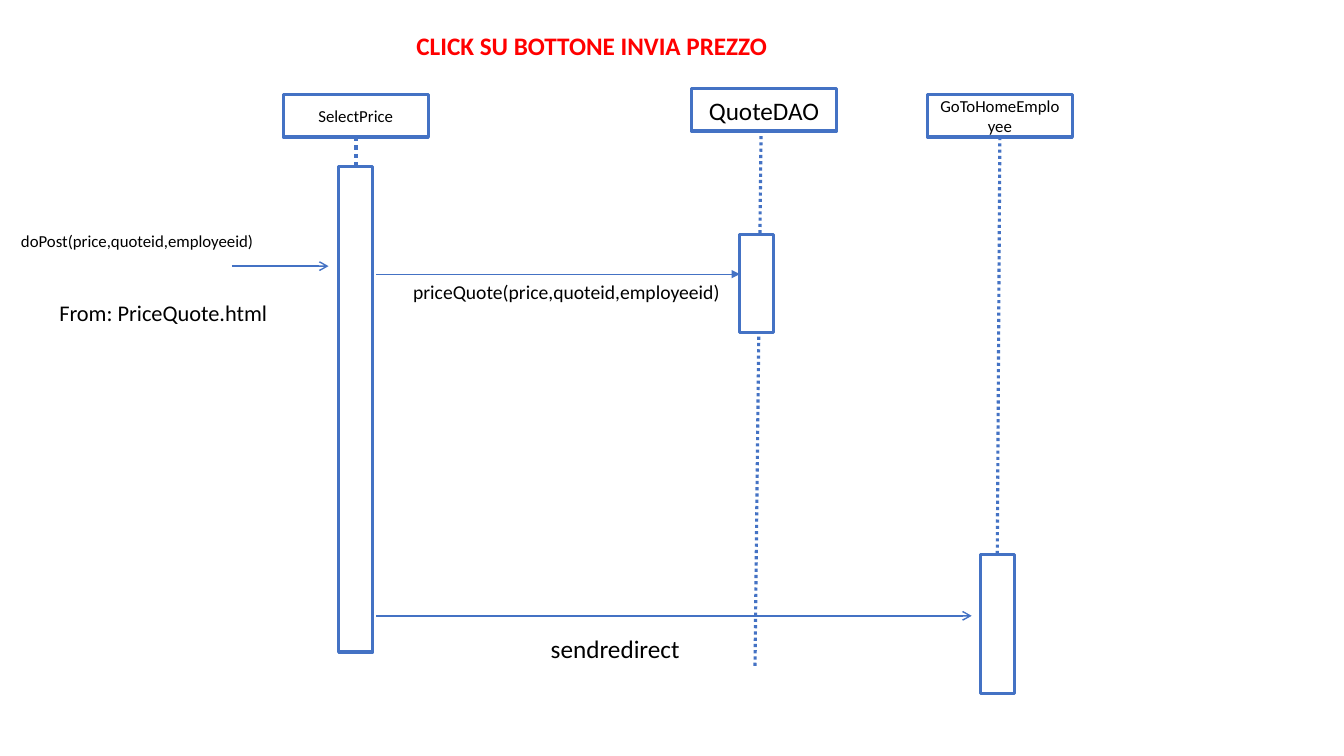
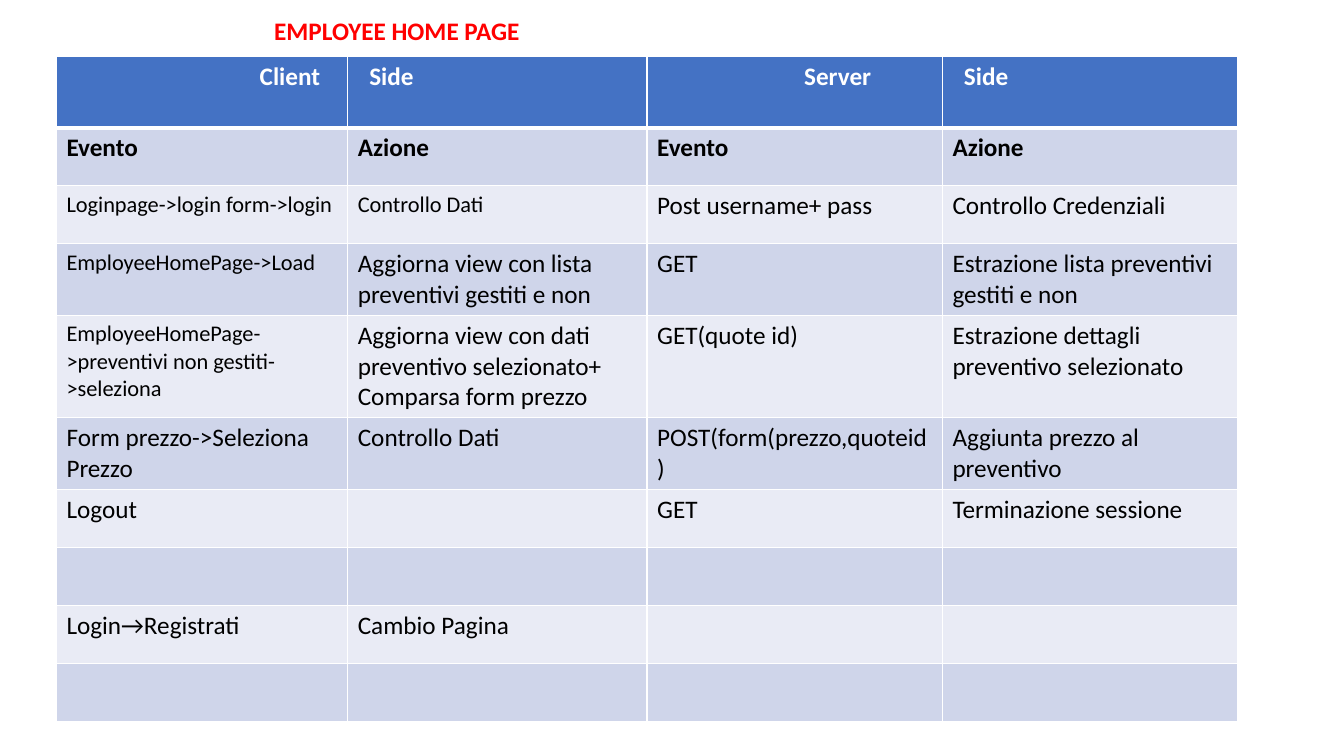
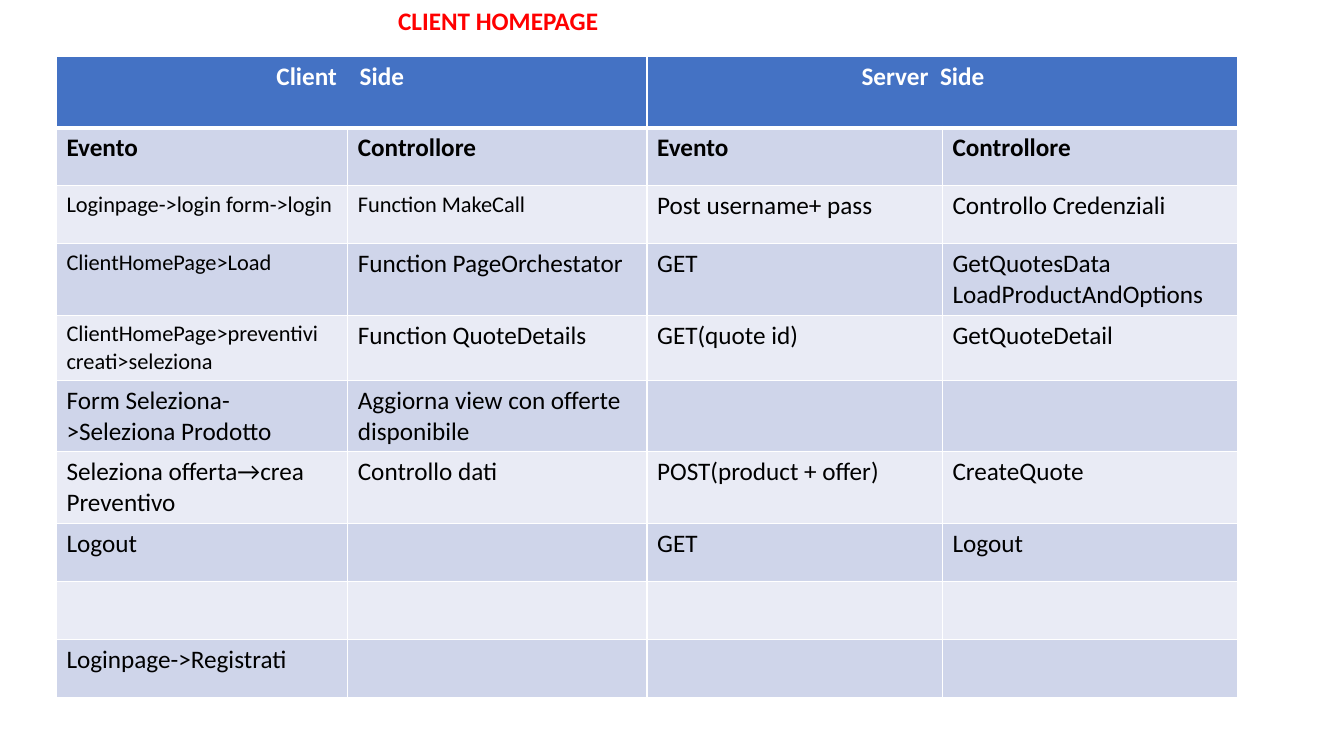
"""Build a price sequence diagram and two event tables."""
import dataclasses
import typing

import lxml.etree
import pptx
import pptx.dml.color
import pptx.enum.dml
import pptx.enum.shapes
import pptx.enum.text
import pptx.oxml.ns
import pptx.slide
import pptx.util

Pt = pptx.util.Pt
ALIGN = pptx.enum.text.PP_ALIGN
ANCHOR = pptx.enum.text.MSO_ANCHOR
FONT = "Calibri"
BLUE, WHITE, BLACK, RED = "4472C4", "FFFFFF", "000000", "FF0000"
BANDS = ("CFD5EA", "E9EBF5")
TITLE_ONLY = 5
TABLE_LEFT = TABLE_TOP = 40.3
COLUMN_WIDTHS = (208.1, 213.8, 211, 211)
HEADER_HEIGHT, ROW_HEIGHT = 51, 41.4
CELL_MARGIN = 7.2
SMALL_CELLS = {(2, 0), (2, 1), (3, 0), (4, 0)}


@dataclasses.dataclass(frozen=True)
class Box:
    left: float
    top: float
    width: float
    height: float
    text: str = ""
    size: float = 12
    align: ALIGN = ALIGN.LEFT


@dataclasses.dataclass(frozen=True)
class Line:
    start: tuple[float, float]
    end: tuple[float, float]
    width: float
    head: str = ""


@dataclasses.dataclass(frozen=True)
class Heading:
    text: str
    indent: float
    word_gap: float = 0
    span: int = 1


@dataclasses.dataclass(frozen=True)
class EventTable:
    title: Box
    headings: list[Heading]
    rows: list[list[str]]


PARTICIPANTS = [
    Box(202.3, 67.7, 103.7, 30.2, "SelectPrice", 12, ALIGN.CENTER),
    Box(493.9, 63.4, 103.7, 30.2, "QuoteDAO", 18, ALIGN.CENTER),
    Box(662.4, 67.7, 103.7, 30.2, "GoToHomeEmployee", 12, ALIGN.CENTER),
]
ACTIVATIONS = [
    Box(241.9, 118.8, 24.5, 347),
    Box(528.5, 167.8, 23.8, 69.8),
    Box(700.6, 396, 23.8, 99.4),
]
LIFELINES = [
    Line((254.2, 97.9), (254.2, 118.8), 3),
    Line((543.6, 97.2), (539.3, 476.6), 2.25),
    Line((714.2, 97.9), (712.1, 439.9), 2.25),
]
MESSAGES = [
    Line((165.6, 190.1), (234.7, 190.1), 1, "arrow"),
    Line((268.6, 195.8), (528.5, 195.8), 0.5, "triangle"),
    Line((268.6, 439.9), (694.1, 439.9), 1, "arrow"),
]
LABELS = [
    Box(7.9, 161.3, 217.4, 21.6, "doPost(price,quoteid,employeeid)", 12),
    Box(35.3, 210.3, 202.3, 26.6, "From: PriceQuote.html", 16),
    Box(288, 196.6, 421.9, 24.5, "priceQuote(price,quoteid,employeeid)", 14),
    Box(199.4, 448.6, 480.2, 28.8, "sendredirect", 18, ALIGN.CENTER),
]
SEQUENCE_TITLE = Box(290.2, 18, 444.2, 28.8, "CLICK SU BOTTONE INVIA PREZZO", 18)

EVENT_TABLES = [
    EventTable(
        Box(188.6, 7.2, 474.5, 30.2, "EMPLOYEE HOME PAGE", 18),
        [Heading("Client", 138), Heading("Side", 8.2), Heading("Server", 105), Heading("Side", 8.2)],
        [
            ["Evento", "Azione", "Evento", "Azione"],
            ["Loginpage->login form->login", "Controllo Dati", "Post username+ pass",
             "Controllo Credenziali"],
            ["EmployeeHomePage->Load", "Aggiorna view con lista preventivi gestiti e non", "GET",
             "Estrazione lista preventivi gestiti e non"],
            ["EmployeeHomePage->preventivi non gestiti->seleziona",
             "Aggiorna view con dati preventivo selezionato+\nComparsa form prezzo",
             "GET(quote id)", "Estrazione dettagli preventivo selezionato"],
            ["Form prezzo->Seleziona Prezzo", "Controllo Dati", "POST(form(prezzo,quoteid)",
             "Aggiunta prezzo al preventivo"],
            ["Logout", "", "GET", "Terminazione sessione"],
            ["", "", "", ""],
            ["Login→Registrati", "Cambio Pagina", "", ""],
            ["", "", "", ""],
        ],
    ),
    EventTable(
        Box(277.2, 0, 445, 28.8, "CLIENT HOMEPAGE", 18),
        [Heading("Client Side", 150, 12.2, 2), Heading("Server Side", 146, 4.1, 2)],
        [
            ["Evento", "Controllore", "Evento", "Controllore"],
            ["Loginpage->login form->login", "Function MakeCall", "Post username+ pass",
             "Controllo Credenziali"],
            ["ClientHomePage>Load", "Function PageOrchestator", "GET",
             "GetQuotesData\nLoadProductAndOptions"],
            ["ClientHomePage>preventivi creati>seleziona", "Function QuoteDetails",
             "GET(quote id)", "GetQuoteDetail"],
            ["Form Seleziona->Seleziona Prodotto", "Aggiorna view con offerte disponibile", "", ""],
            ["Seleziona offerta→crea Preventivo", "Controllo dati", "POST(product + offer)",
             "CreateQuote"],
            ["Logout", "", "GET", "Logout"],
            ["", "", "", ""],
            ["Loginpage->Registrati", "", "", ""],
        ],
    ),
]


def color(value: str) -> pptx.dml.color.RGBColor:
    return pptx.dml.color.RGBColor.from_string(value)


def set_format(target: typing.Any, values: dict[str, typing.Any]) -> None:
    for name, value in values.items():
        setattr(target, name, value)


def set_fill(target: typing.Any, value: str) -> None:
    target.fill.solid()
    target.fill.fore_color.rgb = color(value)


def place(box: Box) -> list[pptx.util.Pt]:
    return [Pt(length) for length in (box.left, box.top, box.width, box.height)]


def add_element(parent: typing.Any, tag: str, **attributes: str) -> typing.Any:
    return lxml.etree.SubElement(parent, pptx.oxml.ns.qn(tag), attributes)


def write_text(text_frame: typing.Any, text: str, size: float, text_color: str = BLACK,
               bold: bool = False, align: ALIGN = ALIGN.LEFT) -> None:
    text_frame.text = text
    for paragraph in text_frame.paragraphs:
        paragraph.alignment = align
        for run in paragraph.runs:
            set_format(run.font, {"name": FONT, "size": Pt(size), "bold": bold})
            run.font.color.rgb = color(text_color)


def add_title(slide: pptx.slide.Slide, box: Box) -> None:
    title = slide.shapes.title
    set_format(title, dict(zip(("left", "top", "width", "height"), place(box))))
    set_format(title.text_frame, {"word_wrap": True, "vertical_anchor": ANCHOR.TOP,
                                  "auto_size": pptx.enum.text.MSO_AUTO_SIZE.NONE})
    write_text(title.text_frame, box.text, box.size, RED, True)


def add_rectangle(slide: pptx.slide.Slide, box: Box) -> None:
    shape = slide.shapes.add_shape(pptx.enum.shapes.MSO_SHAPE.RECTANGLE, *place(box))
    shape.shadow.inherit = False
    set_fill(shape, WHITE)
    shape.line.color.rgb = color(BLUE)
    shape.line.width = Pt(2.25)
    if box.text:
        shape.text_frame.vertical_anchor = ANCHOR.MIDDLE
        write_text(shape.text_frame, box.text, box.size, align=box.align)


def add_label(slide: pptx.slide.Slide, box: Box) -> None:
    shape = slide.shapes.add_textbox(*place(box))
    shape.text_frame.word_wrap = True
    write_text(shape.text_frame, box.text, box.size, align=box.align)


def add_line(slide: pptx.slide.Slide, line: Line) -> None:
    connector = slide.shapes.add_connector(
        pptx.enum.shapes.MSO_CONNECTOR.STRAIGHT, *map(Pt, line.start + line.end))
    connector.line.color.rgb = color(BLUE)
    connector.line.width = Pt(line.width)
    if line.head:
        add_element(connector.line._get_or_add_ln(), "a:tailEnd", type=line.head)
    else:
        connector.line.dash_style = pptx.enum.dml.MSO_LINE.ROUND_DOT
    add_element(connector._element.spPr, "a:effectLst")


def style_cell(cell: typing.Any, row: int) -> None:
    properties = cell._tc.get_or_add_tcPr()
    thick_side = {0: "B", 1: "T"}.get(row)
    for side in "LRTB":
        width = Pt(3 if side == thick_side else 1)
        border = add_element(properties, f"a:ln{side}", w=str(width))
        add_element(add_element(border, "a:solidFill"), "a:srgbClr", val=WHITE)
    set_fill(cell, BANDS[(row - 1) % 2] if row else BLUE)


def write_heading(cell: typing.Any, heading: Heading) -> None:
    cell.margin_left = Pt(CELL_MARGIN + heading.indent)
    write_text(cell.text_frame, heading.text, 18, WHITE, True)
    if heading.word_gap:
        first, second = heading.text.split()
        paragraph = cell.text_frame.paragraphs[0]
        paragraph.runs[0].text = first
        for text in (" ", second):
            run = paragraph.add_run()
            run.text = text
            set_format(run.font, {"name": FONT, "size": Pt(18), "bold": True})
            run.font.color.rgb = color(WHITE)
        paragraph.runs[1].font._element.set("spc", str(round(heading.word_gap * 100)))


def add_event_table(slide: pptx.slide.Slide, event_table: EventTable) -> None:
    row_count = len(event_table.rows) + 1
    frame = slide.shapes.add_table(
        row_count, len(COLUMN_WIDTHS), Pt(TABLE_LEFT), Pt(TABLE_TOP), Pt(sum(COLUMN_WIDTHS)),
        Pt(HEADER_HEIGHT + ROW_HEIGHT * len(event_table.rows)))
    table = frame.table
    table.horz_banding = False
    for column, width in zip(table.columns, COLUMN_WIDTHS):
        column.width = Pt(width)
    for index, row in enumerate(table.rows):
        row.height = Pt(ROW_HEIGHT if index else HEADER_HEIGHT)
        for cell in row.cells:
            style_cell(cell, index)
    column_index = 0
    for heading in event_table.headings:
        cell = table.cell(0, column_index)
        if heading.span > 1:
            cell.merge(table.cell(0, column_index + heading.span - 1))
        write_heading(cell, heading)
        column_index += heading.span
    for row_index, texts in enumerate(event_table.rows, 1):
        for column_index, text in enumerate(texts):
            size = 16 if (row_index, column_index) in SMALL_CELLS else 18
            write_text(table.cell(row_index, column_index).text_frame, text, size,
                       bold=row_index == 1)


def add_sequence(slide: pptx.slide.Slide) -> None:
    for lifeline in LIFELINES:
        add_line(slide, lifeline)
    for box in PARTICIPANTS + ACTIVATIONS:
        add_rectangle(slide, box)
    for message in MESSAGES:
        add_line(slide, message)
    for label in LABELS:
        add_label(slide, label)


def main() -> None:
    presentation = pptx.Presentation()
    set_format(presentation, {"slide_width": Pt(960), "slide_height": Pt(540)})
    layout = presentation.slide_layouts[TITLE_ONLY]
    slide = presentation.slides.add_slide(layout)
    add_title(slide, SEQUENCE_TITLE)
    add_sequence(slide)
    for event_table in EVENT_TABLES:
        slide = presentation.slides.add_slide(layout)
        add_title(slide, event_table.title)
        add_event_table(slide, event_table)
    presentation.save("out.pptx")


main()
